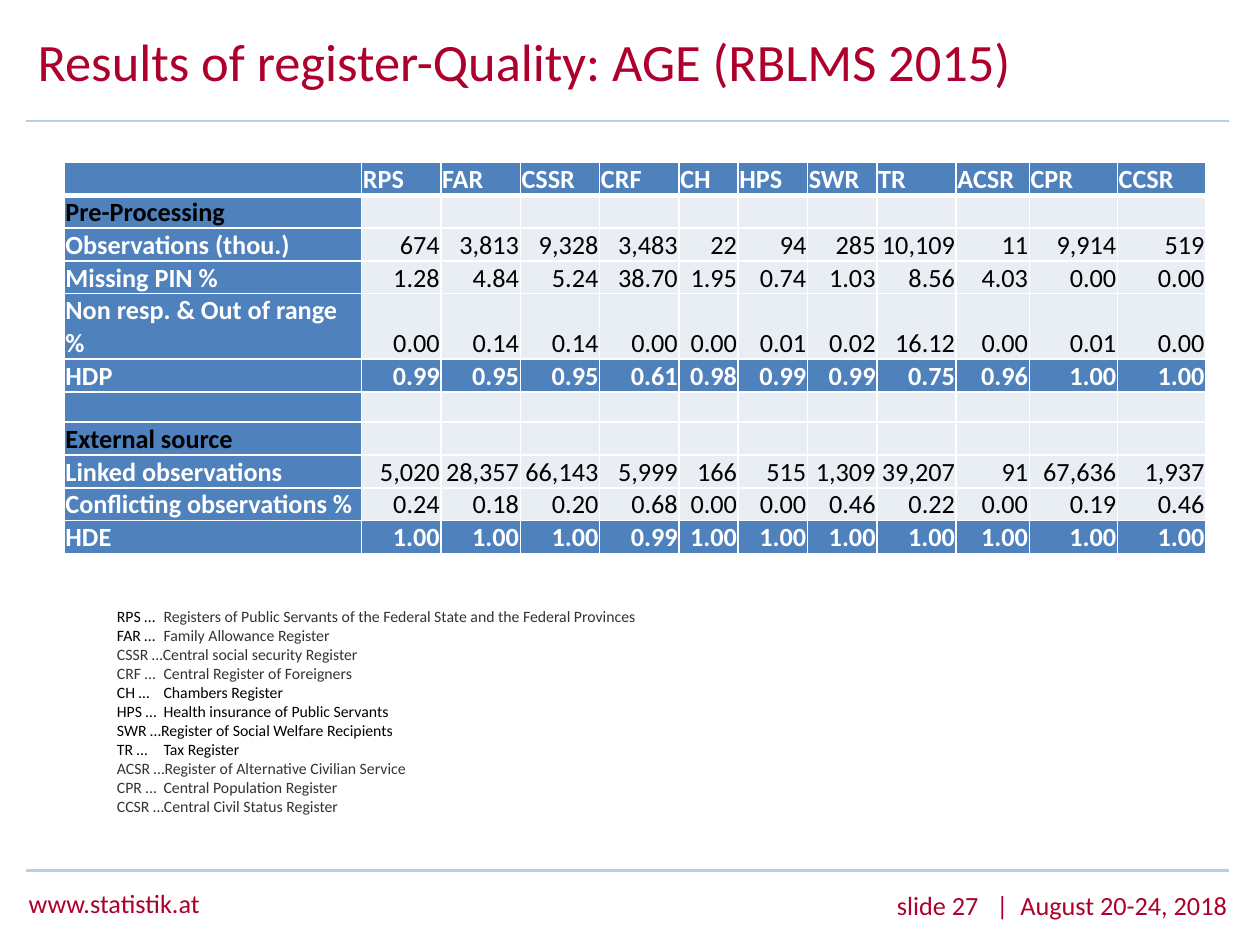
import pptx
import pptx.util
import pptx.dml.color
import pptx.enum.shapes
import pptx.enum.text
import pptx.oxml.ns
import lxml.etree

RGB = pptx.dml.color.RGBColor
RED = RGB(0xAE, 0x00, 0x2C)
BLUE = RGB(0x4F, 0x81, 0xBD)
PALE = RGB(0xE9, 0xED, 0xF4)
RULE = RGB(0xB9, 0xCD, 0xE5)
WHITE = RGB(0xFF, 0xFF, 0xFF)
BLACK = RGB(0x00, 0x00, 0x00)
GREY = RGB(0x33, 0x33, 0x33)

Pt = pptx.util.Pt
qn = pptx.oxml.ns.qn
RIGHT = pptx.enum.text.PP_ALIGN.RIGHT
MIDDLE = pptx.enum.text.MSO_ANCHOR.MIDDLE
BOTTOM = pptx.enum.text.MSO_ANCHOR.BOTTOM

deck = pptx.Presentation()
deck.slide_width = pptx.util.Inches(10)
deck.slide_height = pptx.util.Inches(7.5)
slide = deck.slides.add_slide(deck.slide_layouts[6])
shapes = slide.shapes


def grid(*cells):
    """Turn counts of grid cells (100 columns by 75 rows) into lengths."""
    return [round(n * deck.slide_width / 100) for n in cells]


def write(para, text, size=15, color=RED, bold=False, align=None, tabs=()):
    """Add a run of text to a paragraph, with tab stops in grid cells."""
    if tabs:
        stops = lxml.etree.SubElement(para._p.get_or_add_pPr(), qn("a:tabLst"))
        for stop in grid(*tabs):
            lxml.etree.SubElement(stops, qn("a:tab"), pos=str(stop), algn="l")
    if align is not None:
        para.alignment = align
    run = para.add_run()
    run.text = text
    run.font.name = "Calibri"
    run.font.size = Pt(size)
    run.font.bold = bold
    run.font.color.rgb = color


# Footer
web = shapes.add_textbox(*grid(1.3, 69.9, 22.7, 3.5)).text_frame
write(web.paragraphs[0], "www.statistik.at")
date = shapes.add_textbox(*grid(70.2, 70.1, 29, 3.5)).text_frame
write(date.paragraphs[0], "slide 27\t|\tAugust 20-24, 2018", tabs=(7.9, 9.8))

# Rules below the title and above the footer
for row in (9.6, 69.1):
    rule = shapes.add_connector(pptx.enum.shapes.MSO_CONNECTOR.STRAIGHT,
                                *grid(2.1, row, 97.5, row))
    rule.line.color.rgb = RULE
    rule.line.width = Pt(1.5)
    lxml.etree.SubElement(rule._element.spPr, qn("a:effectLst"))

# Title
head = shapes.add_textbox(*grid(2, 0.5, 81.9, 9.4)).text_frame
head.word_wrap = True
head.vertical_anchor = MIDDLE
head.paragraphs[0].line_spacing = Pt(30)
write(head.paragraphs[0], "Results of register-Quality: AGE (RBLMS 2015)", size=30)

# Table content: row label, then the values of the registers
names = "RPS FAR CSSR CRF CH HPS SWR TR ACSR CPR CCSR"
data = [
    ("", names),
    ("Pre-Processing", ""),
    ("Observations (thou.)", "674 3,813 9,328 3,483 22 94 285 10,109 11 9,914 519"),
    ("Missing PIN %", "1.28 4.84 5.24 38.70 1.95 0.74 1.03 8.56 4.03 0.00 0.00"),
    ("Non resp. & Out of range %",
     "0.00 0.14 0.14 0.00 0.00 0.01 0.02 16.12 0.00 0.01 0.00"),
    ("HDP", "0.99 0.95 0.95 0.61 0.98 0.99 0.99 0.75 0.96 1.00 1.00"),
    ("", ""),
    ("External source", ""),
    ("Linked observations",
     "5,020 28,357 66,143 5,999 166 515 1,309 39,207 91 67,636 1,937"),
    ("Conflicting observations %",
     "0.24 0.18 0.20 0.68 0.00 0.00 0.46 0.22 0.00 0.19 0.46"),
    ("HDE", "1.00 1.00 1.00 0.99 1.00 1.00 1.00 1.00 1.00 1.00 1.00"),
]
wide = [23.6] + [6.3] * 4 + [4.7, 5.5, 5.5, 6.3, 5.8, 7, 7]
high = [2.6] * len(data)
high[4], high[6] = 5.2, 2.4

# Table
table = shapes.add_table(len(data), len(wide),
                         *grid(5.1, 12.9, sum(wide), sum(high))).table
for col, size in zip(table.columns, grid(*wide)):
    col.width = size
for row, size in zip(table.rows, grid(*high)):
    row.height = size

for r, (label, vals) in enumerate(data):
    texts = [label] + (vals.split() or [""] * (len(wide) - 1))
    for c, text in enumerate(texts):
        cell = table.cell(r, c)
        dark = c == 0 or r == 0 or label in ("HDP", "HDE")
        part = c == 0 and label in ("Pre-Processing", "External source")
        cell.vertical_anchor = BOTTOM
        cell.margin_left, cell.margin_right, cell.margin_top = grid(0.1, 0.1, 0.1)
        cell.margin_bottom = 0
        para = cell.text_frame.paragraphs[0]
        if text:
            write(para, text, bold=dark, color=WHITE if dark and not part else BLACK,
                  align=RIGHT if r and c else None)
        else:
            lxml.etree.SubElement(para._p, qn("a:endParaRPr"), sz="1300")
        # White borders, thicker between the header and the body
        props = cell._tc.get_or_add_tcPr()
        for side in "LRTB":
            thick = (r, side) in ((0, "B"), (1, "T"))
            edge = lxml.etree.SubElement(props, qn("a:ln" + side),
                                         w=str(Pt(3 if thick else 1)))
            fill = lxml.etree.SubElement(edge, qn("a:solidFill"))
            lxml.etree.SubElement(fill, qn("a:srgbClr"), val=str(WHITE))
        cell.fill.solid()
        cell.fill.fore_color.rgb = BLUE if dark else PALE

# Legend of the registers: short name, full name and their colours
legend = [
    ("RPS …\t", "Registers of Public Servants of the Federal State"
     " and the Federal Provinces", BLACK, GREY),
    ("FAR …\t", "Family Allowance Register", BLACK, GREY),
    ("CSSR …", "Central social security Register", GREY, GREY),
    ("CRF …\t", "Central Register of Foreigners", GREY, GREY),
    ("CH …\t", "Chambers Register", BLACK, BLACK),
    ("HPS …\t", "Health insurance of Public Servants", BLACK, BLACK),
    ("SWR …", "Register of Social Welfare Recipients", BLACK, BLACK),
    ("TR …\t", "Tax Register", BLACK, BLACK),
    ("ACSR …", "Register of Alternative Civilian Service", GREY, GREY),
    ("CPR …\t", "Central Population Register", GREY, GREY),
    ("CCSR …", "Central Civil Status Register", GREY, GREY),
]
notes = shapes.add_textbox(*grid(8.3, 47.7, 45.7, 17.7)).text_frame
notes.word_wrap = True
for n, (short, full, tint, tone) in enumerate(legend):
    para = notes.add_paragraph() if n else notes.paragraphs[0]
    write(para, short, size=9, color=tint, tabs=(3.7,))
    write(para, full, size=9, color=tone)

deck.save("out.pptx")
